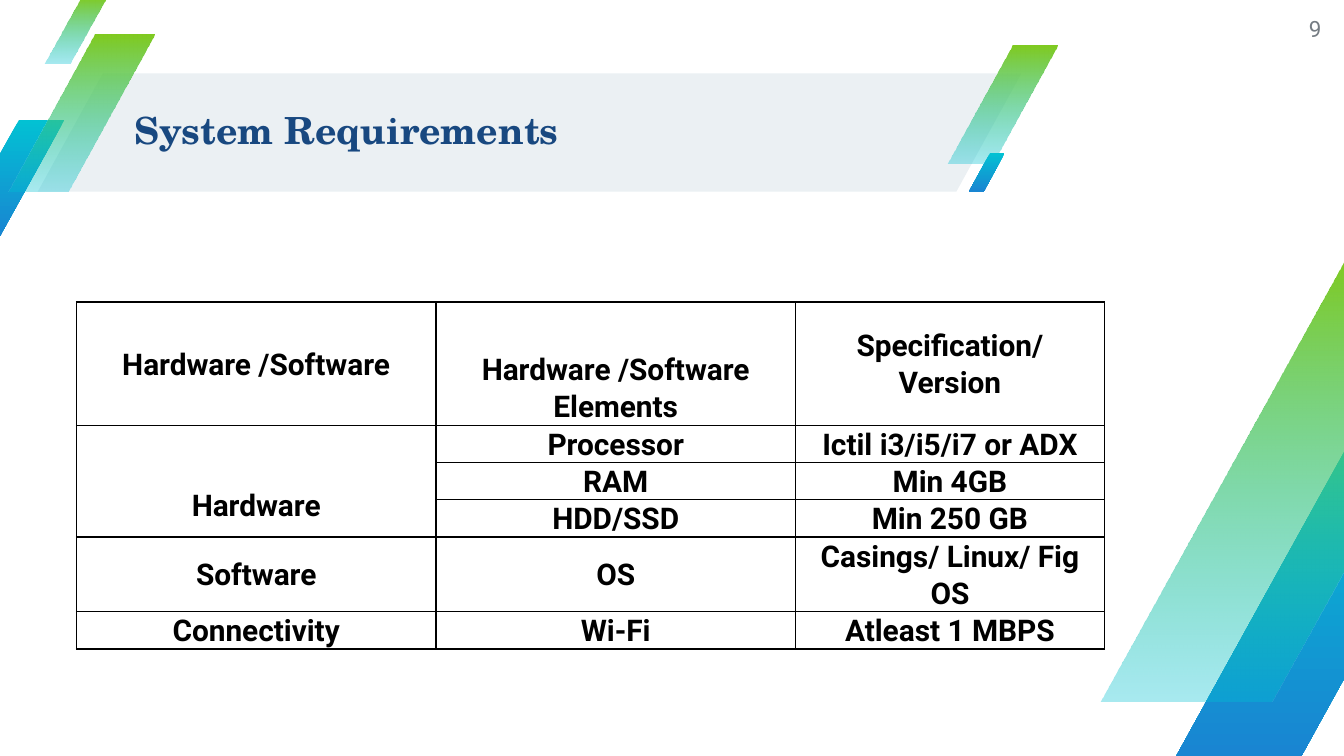
from lxml.etree import SubElement
from pptx import Presentation
from pptx.dml.color import RGBColor
from pptx.enum.shapes import MSO_SHAPE
from pptx.enum.text import MSO_ANCHOR, MSO_AUTO_SIZE, PP_ALIGN
from pptx.oxml.ns import qn
from pptx.util import Pt

PALE = RGBColor(0xEB, 0xF0, 0xF3)
CYAN = RGBColor(0x02, 0xC1, 0xD3)
BLUE = RGBColor(0x19, 0x85, 0xD2)
GREEN = RGBColor(0x7F, 0xCA, 0x20)
NAVY = RGBColor(0x18, 0x48, 0x80)
GREY = RGBColor(0x75, 0x7C, 0x83)
BLACK = RGBColor(0, 0, 0)

# Gradients: top colour, bottom colour, bottom opacity in percent
DEEP = (CYAN, BLUE, 100)
FRESH = (GREEN, CYAN, 34)

# Slanted bars from back to front: left, top, width, height, gradient
BARS = [
    (-24.7, 64.1, 59.3, 63, DEEP),
    (507.4, 24.2, 59.3, 63.4, FRESH),
    (4.3, 18.4, 78.5, 84.2, FRESH),
    (23.8, -1.4, 33.1, 35.3, FRESH),
    (519.1, 82.1, 19.1, 20.6, DEEP),
    (630.2, 230.4, 163.4, 174.6, DEEP),
    (589.7, 138.2, 223.2, 237.6, FRESH),
]

COLUMN_WIDTHS = [192.6, 192.6, 165.5]
ROW_HEIGHTS = [66, 20, 20, 20, 40, 20]
REQUIREMENTS = [
    ["Hardware /Software", "Hardware /Software Elements", "Specification/Version"],
    ["Hardware", "Processor", "Ictil i3/i5/i7 or ADX"],
    ["", "RAM", "Min 4GB"],
    ["", "HDD/SSD", "Min 250 GB"],
    ["Software", "OS", "Casings/ Linux/ Fig OS"],
    ["Connectivity", "Wi-Fi", "Atleast 1 MBPS"],
]
LOWERED_CELLS = {(0, 1), (1, 0)}  # text sits below the middle


def add_slant(page, left, top, width, height, slope):
    shape = page.shapes.add_shape(
        MSO_SHAPE.PARALLELOGRAM, Pt(left), Pt(top), Pt(width), Pt(height))
    shape.adjustments[0] = slope
    shape.shadow.inherit = False
    shape.line.fill.background()
    return shape


def add_gradient_bar(page, left, top, width, height, gradient):
    bar = add_slant(page, left, top, width, height, 0.59)
    top_colour, bottom_colour, opacity = gradient
    bar.fill.gradient()
    bar.fill.gradient_angle = 270
    first, last = bar.fill.gradient_stops
    first.position, last.position = 0, 1
    first.color.rgb, last.color.rgb = top_colour, bottom_colour
    if opacity < 100:
        colour = bar._element.spPr.findall(".//" + qn("a:srgbClr"))[-1]
        SubElement(colour, qn("a:alpha"), val=str(opacity * 1000))


def write_text(box, text, font_name, size, colour, bold, align):
    frame = box.text_frame
    frame.text = text
    paragraph = frame.paragraphs[0]
    paragraph.alignment = align
    font = paragraph.font
    font.name, font.size, font.bold = font_name, Pt(size), bold
    font.color.rgb = colour
    return paragraph


def place_box(box, left, top, width, height):
    box.left, box.top, box.width, box.height = Pt(left), Pt(top), Pt(width), Pt(height)
    frame = box.text_frame
    frame.word_wrap = True
    frame.auto_size = MSO_AUTO_SIZE.NONE
    frame.vertical_anchor = MSO_ANCHOR.MIDDLE
    frame.margin_left = frame.margin_right = frame.margin_top = frame.margin_bottom = 0


def add_borders(cell):
    properties = cell._tc.get_or_add_tcPr()
    for side in ("lnL", "lnR", "lnT", "lnB"):
        line = SubElement(properties, qn("a:" + side), w=str(Pt(0.75)))
        fill = SubElement(line, qn("a:solidFill"))
        SubElement(fill, qn("a:srgbClr"), val=str(BLACK))


def add_requirements_table(page):
    frame = page.shapes.add_table(
        len(ROW_HEIGHTS), len(COLUMN_WIDTHS), Pt(41), Pt(161.8),
        Pt(sum(COLUMN_WIDTHS)), Pt(sum(ROW_HEIGHTS)))
    table = frame.table
    table.first_row = table.horz_banding = False
    for column, width in zip(table.columns, COLUMN_WIDTHS):
        column.width = Pt(width)
    for row, height in zip(table.rows, ROW_HEIGHTS):
        row.height = Pt(height)
    table.cell(1, 0).merge(table.cell(3, 0))
    for i, texts in enumerate(REQUIREMENTS):
        for j, text in enumerate(texts):
            cell = table.cell(i, j)
            add_borders(cell)
            cell.fill.background()
            cell.vertical_anchor = MSO_ANCHOR.MIDDLE
            cell.margin_left = cell.margin_right = Pt(5.75)
            cell.margin_top = Pt(26 if (i, j) in LOWERED_CELLS else 0)
            cell.margin_bottom = 0
            if not cell.is_spanned:
                paragraph = write_text(
                    cell, text, "Roboto", 16, BLACK, True, PP_ALIGN.CENTER)
                paragraph.line_spacing = 1.07


def main():
    deck = Presentation()
    deck.slide_width, deck.slide_height = Pt(720), Pt(405)
    page = deck.slides.add_slide(deck.slide_layouts[5])

    # Title band and slanted decoration
    band = add_slant(page, 20.2, 39.3, 527, 63.4, 0.55)
    band.fill.solid()
    band.fill.fore_color.rgb = PALE
    for bar in BARS:
        add_gradient_bar(page, *bar)

    # Title, brought in front of the decoration
    title = page.shapes.title
    page.shapes._spTree.append(title._element)
    place_box(title, 72, 38.9, 474.5, 64)
    heading = write_text(title, "System Requirements", "TeX Gyre Schola", 20,
                         NAVY, True, PP_ALIGN.LEFT)
    heading.line_spacing = 0.9

    # Page number
    number = page.shapes.add_textbox(0, 0, 0, 0)
    place_box(number, 674, 0, 34, 31)
    write_text(number, "9", "Roboto", 12, GREY, False, PP_ALIGN.RIGHT)

    add_requirements_table(page)
    deck.save("out.pptx")


if __name__ == "__main__":
    main()
